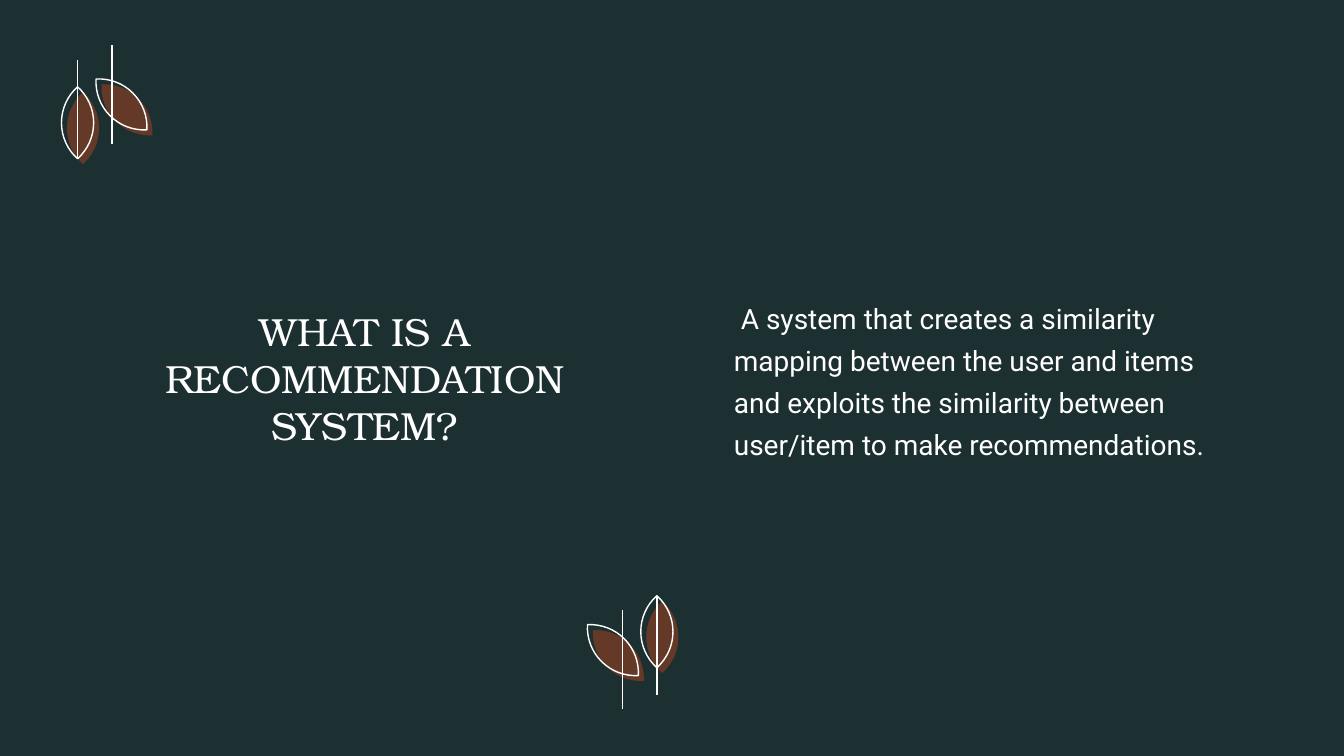
from math import asin, cos, radians, sin, tan

from lxml.etree import SubElement
from pptx import Presentation
from pptx.dml.color import RGBColor
from pptx.enum.shapes import MSO_CONNECTOR
from pptx.enum.text import MSO_ANCHOR, PP_ALIGN
from pptx.oxml.ns import qn
from pptx.util import Pt

DARK, RUST, WHITE = "1C2F31", "D34A19", "FFFFFF"
HALF, WIDE = 25.7, 11.5  # half length and half width of a leaf
SHIFT = 3.9  # offset of a leaf's fill from its outline


def paint(form, color):
    form.solid()
    form.fore_color.rgb = RGBColor.from_string(color)


def rim(x, y, tilt):
    """Corners of a leaf, and the two curve handles that lead to each."""
    bend = (HALF ** 2 + WIDE ** 2) / (2 * WIDE)
    turn = asin(HALF / bend)
    pull = bend * tan(turn / 4) * 4 / 3
    dt, dw = pull * cos(turn), pull * sin(turn)
    s, c = sin(radians(tilt)), cos(radians(tilt))

    def place(t, w):
        return Pt(x + t * s + w * c), Pt(y + t * c - w * s)

    ends = [place(*p) for p in ((-HALF, 0), (0, WIDE), (HALF, 0), (0, -WIDE))]
    grips = [((-HALF + dt, dw), (-pull, WIDE)),
             ((pull, WIDE), (HALF - dt, dw)),
             ((HALF - dt, -dw), (pull, -WIDE)),
             ((-pull, -WIDE), (-HALF + dt, -dw))]
    return ends, [[place(*p) for p in pair] for pair in grips]


def curve(leaf, grips):
    """Turn the straight sides into curves."""
    sides = list(leaf._element.iter(qn("a:lnTo")))
    for side, pair in zip(sides, grips):
        bow = SubElement(side.getparent(), qn("a:cubicBezTo"))
        side.addprevious(bow)
        for x, y in pair:
            SubElement(bow, qn("a:pt"), x=str(x - leaf.left),
                       y=str(y - leaf.top))
        bow.append(side[0])
        side.getparent().remove(side)


def add_leaf(group, x, y, tilt, filled):
    ends, grips = rim(x, y, tilt)
    pen = group.shapes.build_freeform(*ends[0])
    pen.add_line_segments(ends[1:] + ends[:1], close=True)
    leaf = pen.convert_to_shape()
    curve(leaf, grips)
    leaf.shadow.inherit = False
    if filled:
        paint(leaf.fill, RUST)
        tint = leaf.fill._xPr.find(qn("a:solidFill"))[0]
        SubElement(tint, qn("a:alpha"), val="40000")
        leaf.line.fill.background()
    else:
        leaf.fill.background()
        paint(leaf.line.fill, WHITE)
        leaf.line.width = Pt(1)


def add_stem(group, x, top, end):
    stem = group.shapes.add_connector(
        MSO_CONNECTOR.STRAIGHT, Pt(x), Pt(top), Pt(x), Pt(end))
    paint(stem.line.fill, WHITE)
    stem.line.width = Pt(1)
    SubElement(stem._element.spPr, qn("a:effectLst"))


def add_sprig(slide, leaves, stems):
    group = slide.shapes.add_group_shape()
    for x, y, tilt in leaves:
        add_leaf(group, x + SHIFT, y + SHIFT, tilt, True)
    for x, y, tilt in reversed(leaves):
        add_leaf(group, x, y, tilt, False)
    for stem in stems:
        add_stem(group, *stem)


def add_text(slide, box, text, font, size, align, space):
    frame = slide.shapes.add_textbox(*map(Pt, box)).text_frame
    frame.word_wrap = True
    frame.vertical_anchor = MSO_ANCHOR.MIDDLE
    frame.margin_left = frame.margin_right = 0
    frame.margin_top = frame.margin_bottom = 0
    para = frame.paragraphs[0]
    para.alignment = align
    para.line_spacing = space
    run = para.add_run()
    run.text = text
    run.font.name = font
    run.font.size = Pt(size)
    paint(run.font.fill, WHITE)


def main():
    deck = Presentation()
    deck.slide_width, deck.slide_height = Pt(960), Pt(540)
    slide = deck.slides.add_slide(deck.slide_layouts[6])
    paint(slide.background.fill, DARK)

    # Title with the sprig at the top left
    add_text(slide, (85.2, 131, 350.6, 277.2),
             "WHAT IS A RECOMMENDATION SYSTEM?",
             "TeX Gyre Bonum", 28, PP_ALIGN.CENTER, 1.0)
    add_sprig(slide, [(86.8, 74.6, 45), (55.4, 87.7, 0)],
              [(55.4, 42.8, 113.5), (80, 32.2, 103)])

    # Answer with the sprig at the bottom
    add_text(slide, (524.2, 85, 350.6, 369.4),
             "\u00a0A system that creates a similarity mapping between the "
             "user and items and exploits the similarity between user/item "
             "to make recommendations.",
             "Roboto", 20, PP_ALIGN.LEFT, 1.25)
    add_sprig(slide, [(437.8, 464.4, 45), (469.2, 451.2, 0)],
              [(469.2, 425.5, 496.2), (444.5, 435.8, 506.8)])

    deck.save("out.pptx")


main()
